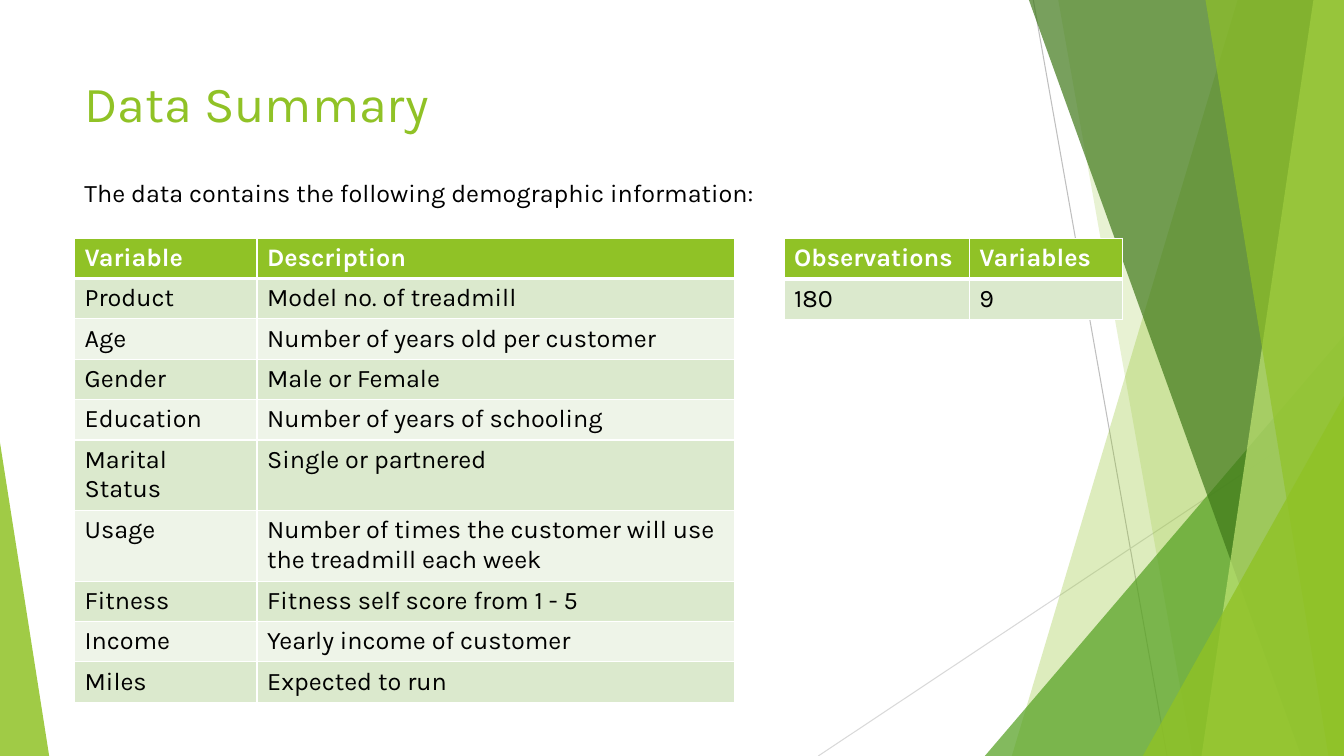
from lxml import etree
from pptx import Presentation
from pptx import util as u
from pptx.dml.color import RGBColor
from pptx.enum import shapes, text
from pptx.oxml.ns import qn

# Content
TITLE = "Data Summary"
INTRO = "The data contains the following demographic information:"
VARIABLES = [
    ("Variable", "Description"),
    ("Product", "Model no. of treadmill"),
    ("Age", "Number of years old per customer"),
    ("Gender", "Male or Female"),
    ("Education", "Number of years of schooling"),
    ("Marital Status", "Single or partnered"),
    ("Usage", "Number of times the customer will use the treadmill each week"),
    ("Fitness", "Fitness self score from 1 - 5"),
    ("Income", "Yearly income of customer"),
    ("Miles", "Expected to run"),
]
SIZES = [("Observations", "Variables"), ("180", "9")]

COLORS = {
    "green": "90C226", "leaf": "54A021", "forest": "3F7819", "lime": "C0E474",
    "band": "DBE9CD", "pale": "EEF4E8", "white": "FFFFFF", "black": "000000",
    "line": "BFBFBF", "light line": "D9D9D9",
}
FONT = "Karla"
WIDTH, HEIGHT = 33.87, 19.05  # all lengths in cm

# Decoration, back to front
LINES = [
    ((26.04, 0), (29.41, HEIGHT), "line"),
    ((WIDTH, 10.24), (20.62, HEIGHT), "light line"),
]
# band: left edge at top and at bottom; corner: left, top, width, apex position
FACETS = [
    ("band", (31.19, 25.5), "green", 30),
    ("band", (26.67, 30.05), "green", 20),
    ("corner", (24.82, 8.46, 9.05, 1), "leaf", 72),
    ("band", (25.93, 32.79), "forest", 70),
    ("band", (33.1, 30.28), "lime", 70),
    ("band", (30.38, 33.48), "green", 65),
    ("corner", (28.8, 9.98, 5.07, 1), "green", 80),
    ("corner", (0, 11.15, 1.24, 0), "green", 85),
]


def rgb(name):
    return RGBColor.from_string(COLORS[name])


def write(frame, content, size, color, bold=False):
    frame.word_wrap = True
    run = frame.paragraphs[0].add_run()
    run.text = content
    formats = {"name": FONT, "size": u.Pt(size), "bold": bold}
    for key, value in formats.items():
        setattr(run.font, key, value)
    run.font.color.rgb = rgb(color)


def add_text(slide, box, content, size, color):
    frame = slide.shapes.add_textbox(*map(u.Cm, box)).text_frame
    frame.vertical_anchor = text.MSO_ANCHOR.TOP
    write(frame, content, size, color)


def add_line(slide, start, end, color):
    line = slide.shapes.add_connector(
        shapes.MSO_CONNECTOR.STRAIGHT, *map(u.Cm, start + end))
    line.line.color.rgb = rgb(color)
    line.line.width = u.Pt(0.75)
    etree.SubElement(line._element.spPr, qn("a:effectLst"))


def add_facet(slide, kind, geometry, color, opacity):
    if kind == "band":
        top, bottom = geometry
        corners = [(WIDTH, 0), (WIDTH, HEIGHT), (bottom, HEIGHT)]
        builder = slide.shapes.build_freeform(u.Cm(top), 0)
        builder.add_line_segments([(u.Cm(x), u.Cm(y)) for x, y in corners])
        shape = builder.convert_to_shape()
    else:
        left, top, width, apex = geometry
        shape = slide.shapes.add_shape(
            shapes.MSO_SHAPE.ISOSCELES_TRIANGLE,
            *map(u.Cm, (left, top, width, HEIGHT - top)))
        shape.adjustments[0] = apex
    shape.shadow.inherit = False
    shape.line.fill.background()
    shape.fill.solid()
    shape.fill.fore_color.rgb = rgb(color)
    fill_color = shape._element.spPr.find(qn("a:solidFill"))[0]
    etree.SubElement(fill_color, qn("a:alpha"), val=str(opacity * 1000))


def add_border(cell, side, points):
    border = etree.SubElement(cell._tc.get_or_add_tcPr(), qn("a:ln" + side),
                              w=str(u.Pt(points)))
    fill = etree.SubElement(border, qn("a:solidFill"))
    etree.SubElement(fill, qn("a:srgbClr"), val=COLORS["white"])


def add_table(slide, left, top, widths, row_height, rows):
    box = (left, top, sum(widths), row_height * len(rows))
    table = slide.shapes.add_table(
        len(rows), len(widths), *map(u.Cm, box)).table
    for column, width in zip(table.columns, widths):
        column.width = u.Cm(width)
    for i, row in enumerate(rows):
        table.rows[i].height = u.Cm(row_height)
        header = i == 0
        fill = "green" if header else ("pale", "band")[i % 2]
        for j, content in enumerate(row):
            cell = table.cell(i, j)
            # A thick rule parts the header from the body
            for side in "LRTB":
                thick = (i, side) in ((0, "B"), (1, "T"))
                add_border(cell, side, 3 if thick else 1)
            cell.fill.solid()
            cell.fill.fore_color.rgb = rgb(fill)
            write(cell.text_frame, content, 18,
                  "white" if header else "black", header)


def main():
    presentation = Presentation()
    presentation.slide_width = u.Cm(WIDTH)
    presentation.slide_height = u.Cm(HEIGHT)
    slide = presentation.slides.add_slide(presentation.slide_layouts[6])

    # Background decoration
    for line in LINES:
        add_line(slide, *line)
    for facet in FACETS:
        add_facet(slide, *facet)

    # Title, tables and introduction
    add_text(slide, (1.88, 1.7, 23.88, 3.66), TITLE, 36, "green")
    add_table(slide, 1.88, 6, (4.6, 12.04), 1, VARIABLES)
    add_table(slide, 19.76, 6, (4.67, 3.86), 1.03, SIZES)
    add_text(slide, (1.88, 4.34, 19.89, 1.02), INTRO, 18, "black")

    presentation.save("out.pptx")


if __name__ == "__main__":
    main()
